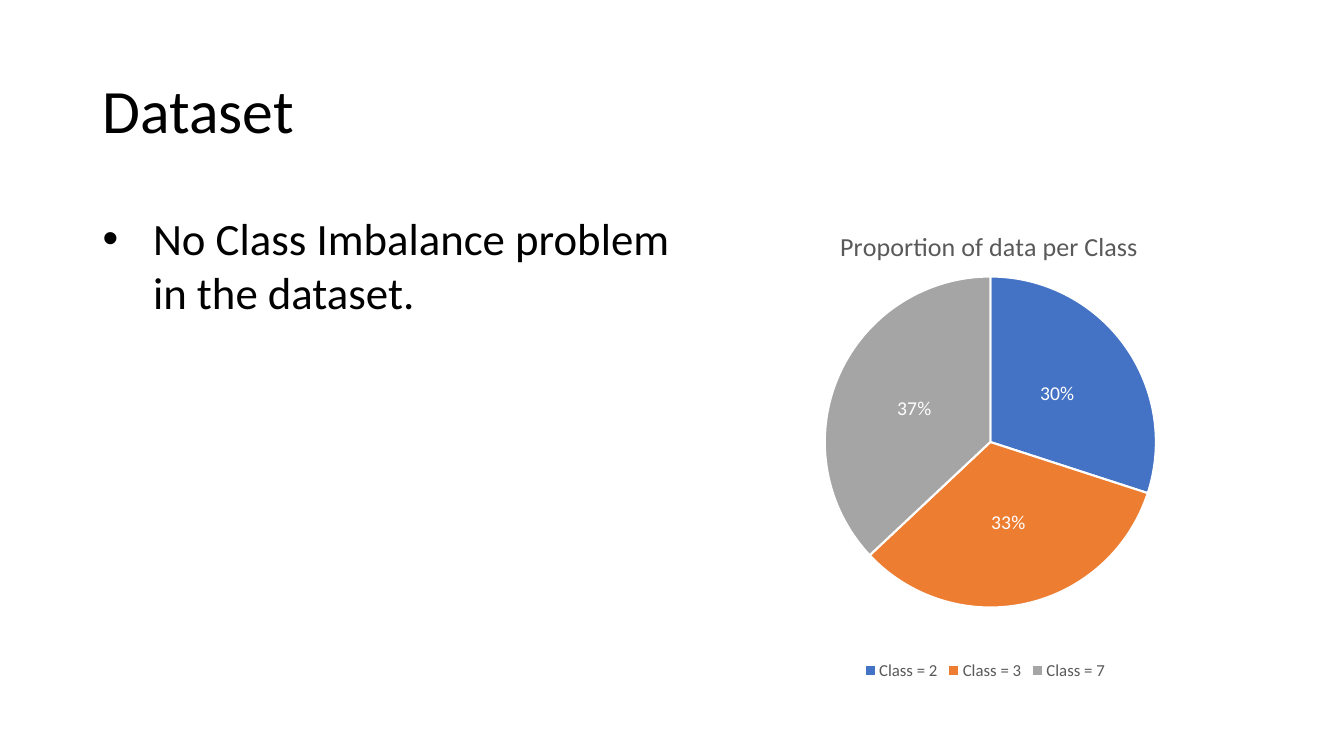
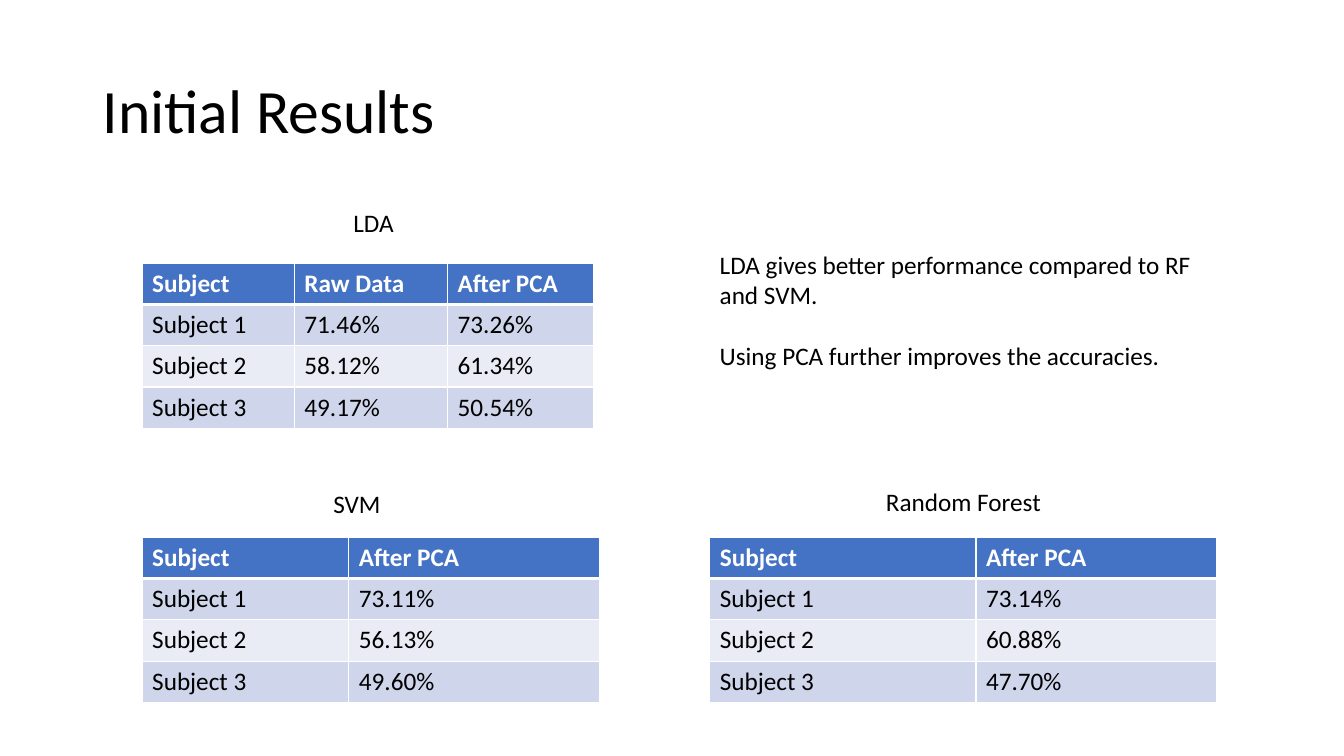
"""Builds two slides on a classification dataset and its initial results."""
from dataclasses import dataclass

from lxml import etree
from pptx import Presentation
from pptx import util as u
from pptx.chart.data import CategoryChartData
from pptx.dml.color import RGBColor
from pptx.enum import chart as chart_enum
from pptx.enum import text
from pptx.oxml import parse_xml
from pptx.oxml.ns import nsdecls, qn


@dataclass(frozen=True)
class Theme:
    font: str = "Calibri"
    ink: str = "000000"
    paper: str = "FFFFFF"
    muted: str = "595959"
    accents: tuple = ("4472C4", "ED7D31", "A5A5A5")
    bands: tuple = ("CFD5EA", "E9EBF5")
    title: float = 44
    bullet: float = 32
    body: float = 18
    chart_title: float = 18.6
    chart_label: float = 14
    legend: float = 12


THEME = Theme()
EMU_PER_PX = 9144
SLIDE_SIZE = (1333, 750)
TITLE_BOX = (92, 40, 1150, 145)
ROW_HEIGHT = 41

BULLET = ("No Class Imbalance problem in the dataset.", (92, 204, 620, 226))
PIE = {
    "title": "Proportion of data per Class",
    "box": (712, 203, 530, 476),
    "slices": [("Class = 2", 0.30), ("Class = 3", 0.33), ("Class = 7", 0.37)],
    "plot_layout": {"x": 0.2, "y": 0.15, "w": 0.62, "h": 0.69},
    "title_layout": {"x": 0.22, "y": 0.04},
}
SUBJECTS = ["Subject 1", "Subject 2", "Subject 3"]
RESULTS = [
    {"name": "LDA", "label": (340, 201, 61, 40), "corner": (141, 261), "columns": (151, 152, 145),
     "scores": {"Raw Data": ["71.46%", "58.12%", "49.17%"],
                "After PCA": ["73.26%", "61.34%", "50.54%"]}},
    {"name": "Random Forest", "label": (868, 478, 175, 40), "corner": (704, 533), "columns": (264, 239),
     "scores": {"After PCA": ["73.14%", "60.88%", "47.70%"]}},
    {"name": "SVM", "label": (320, 480, 68, 40), "corner": (141, 533), "columns": (205, 249),
     "scores": {"After PCA": ["73.11%", "56.13%", "49.60%"]}},
]
FINDINGS = (["LDA gives better performance compared to RF and SVM.",
             "Using PCA further improves the accuracies."], (704, 242, 504, 131))


def px(length):
    return u.Emu(length * EMU_PER_PX)


def rgb(color):
    return RGBColor.from_string(color)


def style_font(font, size, color, bold=False):
    font.name = THEME.font
    font.size = u.Pt(size)
    font.bold = bold
    font.color.rgb = rgb(color)


def add_run(paragraph, content, size, color=THEME.ink, bold=False):
    run = paragraph.add_run()
    run.text = content
    style_font(run.font, size, color, bold)


def add_text(slide, box, lines, size, wrap=True, gap=0):
    frame = slide.shapes.add_textbox(*map(px, box)).text_frame
    frame.word_wrap = wrap
    for index, line in enumerate(lines):
        paragraph = frame.add_paragraph() if index else frame.paragraphs[0]
        if index:
            paragraph.space_before = u.Pt(gap)
        add_run(paragraph, line, size)
    return frame


def add_slide(presentation, title):
    slide = presentation.slides.add_slide(presentation.slide_layouts[6])
    frame = add_text(slide, TITLE_BOX, [title], THEME.title)
    frame.vertical_anchor = text.MSO_ANCHOR.MIDDLE
    frame.paragraphs[0].line_spacing = 0.9
    return slide


def add_bullet(paragraph, indent):
    properties = paragraph._p.get_or_add_pPr()
    properties.set("marL", str(px(indent)))
    properties.set("indent", str(-px(indent)))
    properties.append(parse_xml(f'<a:buFont {nsdecls("a")} typeface="Arial"/>'))
    properties.append(parse_xml(f'<a:buChar {nsdecls("a")} char="•"/>'))


def set_layout(element, fractions, inner=False):
    for stale in element.findall(qn("c:layout")):
        element.remove(stale)
    layout = parse_xml(f'<c:layout {nsdecls("c")}><c:manualLayout/></c:layout>')
    settings = [("layoutTarget", "inner")] if inner else []
    settings += [("xMode", "edge"), ("yMode", "edge"), *fractions.items()]
    for tag, value in settings:
        etree.SubElement(layout[0], qn(f"c:{tag}")).set("val", str(value))
    text_part = element.find(qn("c:tx"))
    element.insert(0 if text_part is None else 1, layout)


def add_pie(slide, pie):
    data = CategoryChartData(number_format="0%")
    data.categories = [name for name, _ in pie["slices"]]
    data.add_series("Series 1", [value for _, value in pie["slices"]])
    chart = slide.shapes.add_chart(chart_enum.XL_CHART_TYPE.PIE, *map(px, pie["box"]), data).chart
    style_font(chart.font, THEME.legend, THEME.ink)

    chart.has_title = True
    title = chart.chart_title
    add_run(title.text_frame.paragraphs[0], pie["title"], THEME.chart_title, THEME.muted)
    title.include_in_layout = False
    set_layout(title._element, pie["title_layout"])
    set_layout(chart._chartSpace.chart.plotArea, pie["plot_layout"], inner=True)

    chart.has_legend = True
    chart.legend.position = chart_enum.XL_LEGEND_POSITION.BOTTOM
    chart.legend.include_in_layout = False
    style_font(chart.legend.font, THEME.legend, THEME.muted)

    plot = chart.plots[0]
    plot.vary_by_categories = True
    series = plot.series[0]
    for index, color in enumerate(THEME.accents):
        point = series.points[index].format
        point.fill.solid()
        point.fill.fore_color.rgb = rgb(color)
        point.line.color.rgb = rgb(THEME.paper)
        point.line.width = u.Pt(1.5)
    labels = series.data_labels
    labels.show_value = True
    labels.number_format = "0%"
    labels.number_format_is_linked = False
    labels.position = chart_enum.XL_LABEL_POSITION.CENTER
    style_font(labels.font, THEME.chart_label, THEME.paper)


def set_borders(cell, top, bottom):
    properties = cell._tc.get_or_add_tcPr()
    for side, points in (("L", 1), ("R", 1), ("T", top), ("B", bottom)):
        properties.append(parse_xml(
            f'<a:ln{side} {nsdecls("a")} w="{u.Pt(points)}"><a:solidFill>'
            f'<a:srgbClr val="{THEME.paper}"/></a:solidFill></a:ln{side}>'))


def add_result(slide, result):
    label = add_text(slide, result["label"], [result["name"]], THEME.body, wrap=False)
    label.paragraphs[0].alignment = text.PP_ALIGN.CENTER
    scores = result["scores"]
    rows = [("Subject", *scores), *zip(SUBJECTS, *scores.values())]
    widths = result["columns"]
    box = (*result["corner"], sum(widths), ROW_HEIGHT * len(rows))
    table = slide.shapes.add_table(len(rows), len(widths), *map(px, box)).table
    for column, width in zip(table.columns, widths):
        column.width = px(width)
    for row_index, row in enumerate(rows):
        header = row_index == 0
        fill = THEME.accents[0] if header else THEME.bands[(row_index - 1) % 2]
        for column_index, content in enumerate(row):
            cell = table.cell(row_index, column_index)
            set_borders(cell, top=3 if row_index == 1 else 1, bottom=3 if header else 1)
            cell.fill.solid()
            cell.fill.fore_color.rgb = rgb(fill)
            add_run(cell.text_frame.paragraphs[0], content, THEME.body,
                    THEME.paper if header else THEME.ink, header)


def build_dataset(presentation):
    slide = add_slide(presentation, "Dataset")
    add_pie(slide, PIE)
    content, box = BULLET
    frame = add_text(slide, box, [content], THEME.bullet)
    add_bullet(frame.paragraphs[0], 50)


def build_results(presentation):
    slide = add_slide(presentation, "Initial Results")
    for result in RESULTS:
        add_result(slide, result)
    lines, box = FINDINGS
    add_text(slide, box, lines, THEME.body, gap=22)


def main():
    presentation = Presentation()
    presentation.slide_width, presentation.slide_height = map(px, SLIDE_SIZE)
    build_dataset(presentation)
    build_results(presentation)
    presentation.save("out.pptx")


if __name__ == "__main__":
    main()
